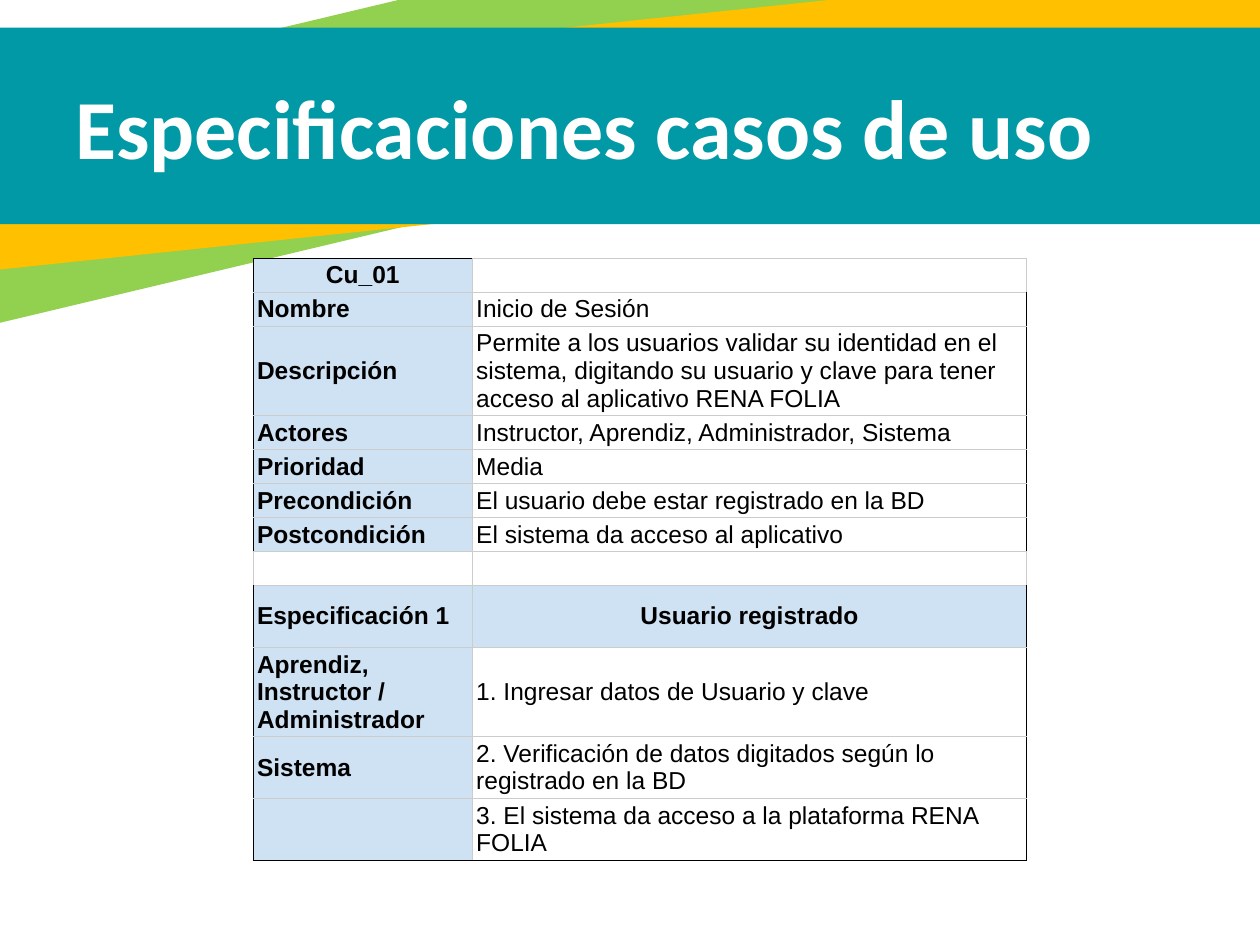
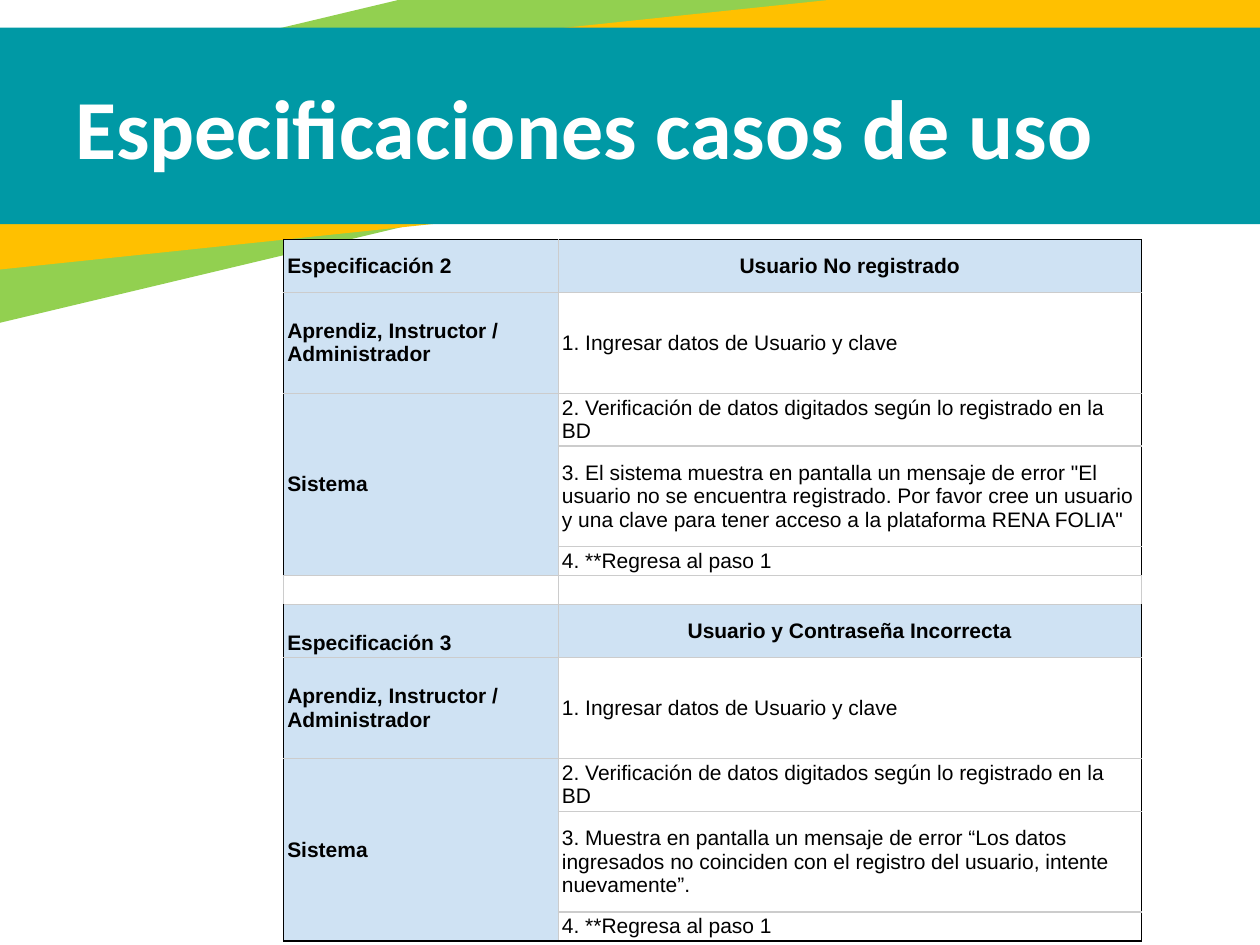
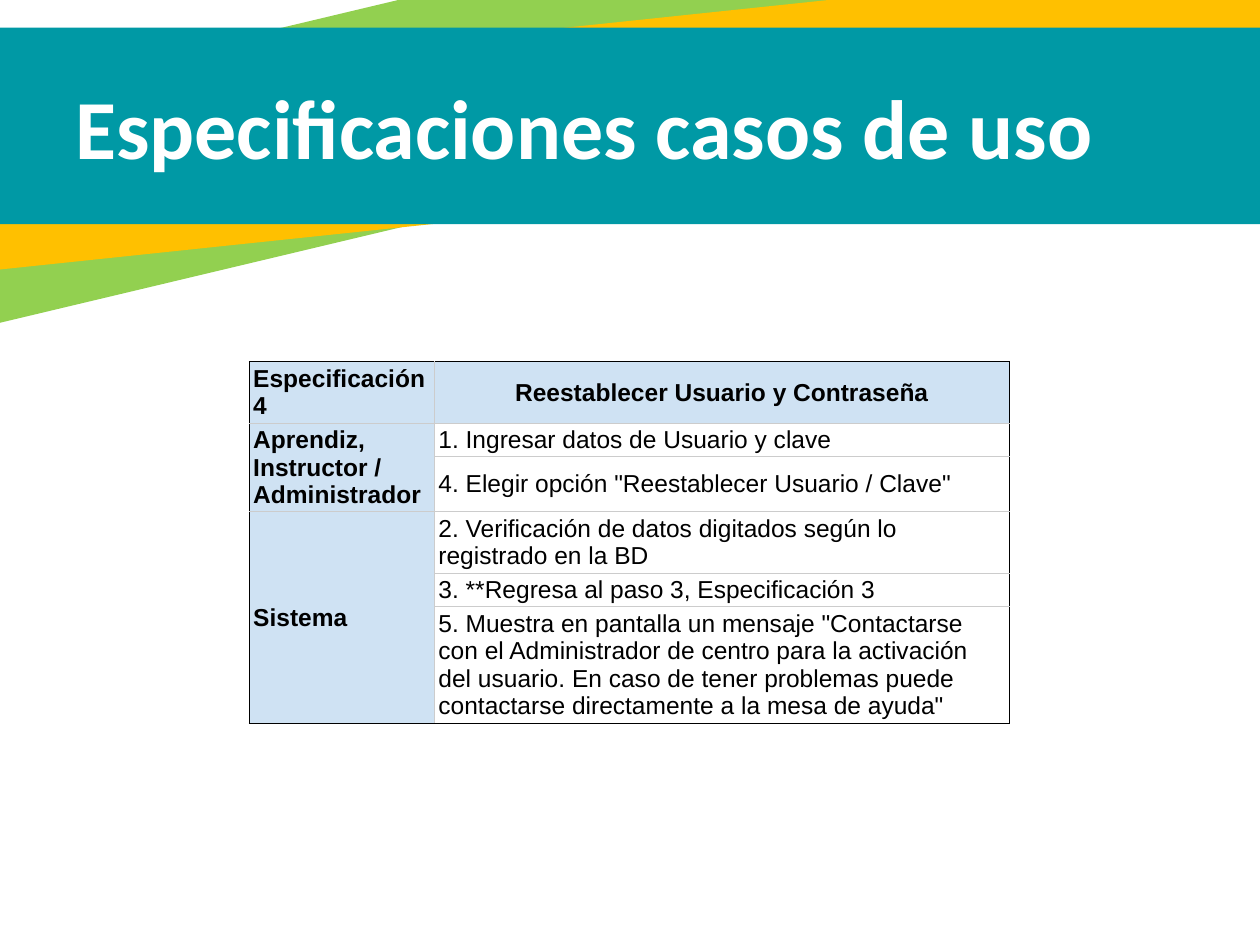
import pptx
import pptx.dml.color
import pptx.enum.shapes
import pptx.enum.text
import pptx.oxml.ns
import pptx.util
from lxml import etree

Inches = pptx.util.Inches
Pt = pptx.util.Pt
ALIGN = pptx.enum.text.PP_ALIGN
ANCHOR = pptx.enum.text.MSO_ANCHOR

GREEN, AMBER, TEAL = "92D050", "FFC000", "0099A5"
WHITE, BLACK = "FFFFFF", "000000"
LABEL_FILL, GRID = "CFE2F3", "CCCCCC"

TITLE = "Especificaciones casos de uso"
BANDS = [  # left, top, width, height, rotation, colour
    (-2.51, -0.18, 13.06, 1.76, 346.6, GREEN),
    (-1.1, 0.2, 11.63, 1.44, 354, AMBER),
    (-1.06, 0.22, 11.63, 1.56, 0, TEAL),
]

SPEC = "Especificación"
ACTORS = "Aprendiz, Instructor / Administrador"
ENTER_DATA = "1. Ingresar datos de Usuario y clave"
VERIFY_DATA = "2. Verificación de datos digitados según lo registrado en la BD"
BACK_TO_START = "4. **Regresa al paso 1"


def failed_login(number, case, message):
    """Rows of a specification that ends in an error message."""
    return [
        (0.42, f"{SPEC} {number}", case),
        (0.8, ACTORS, ENTER_DATA),
        (0.42, "Sistema", VERIFY_DATA),
        (0.8, None, message),
        (0.23, None, BACK_TO_START),
    ]


# Rows hold height, label and detail; a label of None continues the one above.
LOGIN_ROWS = [
    (0.27, "Cu_01", ""),
    (0.27, "Nombre", "Inicio de Sesión"),
    (0.71, "Descripción",
     "Permite a los usuarios validar su identidad en el sistema, digitando su "
     "usuario y clave para tener acceso al aplicativo RENA FOLIA"),
    (0.27, "Actores", "Instructor, Aprendiz, Administrador, Sistema"),
    (0.27, "Prioridad", "Media"),
    (0.27, "Precondición", "El usuario debe estar registrado en la BD"),
    (0.27, "Postcondición", "El sistema da acceso al aplicativo"),
    (0.27, "", ""),
    (0.49, f"{SPEC} 1", "Usuario registrado"),
    (0.71, ACTORS, ENTER_DATA),
    (0.49, "Sistema", VERIFY_DATA),
    (0.49, "", "3. El sistema da acceso a la plataforma RENA FOLIA"),
]
ERROR_ROWS = [
    *failed_login(
        2, "Usuario No registrado",
        '3. El sistema muestra en pantalla un mensaje de error "El usuario no se '
        "encuentra registrado. Por favor cree un usuario y una clave para tener "
        'acceso a la plataforma RENA FOLIA"'),
    (0.23, "", ""),
    *failed_login(
        3, "Usuario y Contraseña Incorrecta",
        "3. Muestra en pantalla un mensaje de error “Los datos ingresados no "
        "coinciden con el registro del usuario, intente nuevamente”."),
]
RESET_ROWS = [
    (0.49, f"{SPEC} 4", "Reestablecer Usuario y Contraseña"),
    (0.26, ACTORS, ENTER_DATA),
    (0.43, None, '4. Elegir opción "Reestablecer Usuario / Clave"'),
    (0.49, "Sistema", VERIFY_DATA),
    (0.26, None, "3. **Regresa al paso 3, Especificación 3"),
    (0.92, None,
     '5. Muestra en pantalla un mensaje "Contactarse con el Administrador de '
     "centro para la activación del usuario. En caso de tener problemas puede "
     'contactarse directamente a la mesa de ayuda"'),
]
CASES = [  # left, top, column widths, text size, rows
    (2.01, 2.05, (1.74, 4.4), 14, LOGIN_ROWS),
    (2.25, 1.9, (2.18, 4.63), 12, ERROR_ROWS),
    (1.98, 2.87, (1.47, 4.56), 14, RESET_ROWS),
]
CENTRED = {"Cu_01"}
BOTTOM_ANCHORED = {f"{SPEC} 3"}


def rgb(value):
    return pptx.dml.color.RGBColor.from_string(value)


def apply(target, values):
    for name, value in values.items():
        setattr(target, name, value)


def add_band(slide, left, top, width, height, rotation, colour):
    band = slide.shapes.add_shape(
        pptx.enum.shapes.MSO_SHAPE.RECTANGLE,
        Inches(left), Inches(top), Inches(width), Inches(height))
    band.rotation = rotation
    band.shadow.inherit = False
    band.fill.solid()
    band.fill.fore_color.rgb = rgb(colour)
    band.line.fill.background()


def write(paragraph, text, size, font, colour, bold):
    run = paragraph.add_run()
    run.text = text
    apply(run.font, {"size": Pt(size), "name": font, "bold": bold})
    run.font.color.rgb = rgb(colour)


def add_title(slide):
    frame = slide.shapes.add_textbox(
        Inches(0.5), Inches(0.49), Inches(9.5), Inches(1.02)).text_frame
    apply(frame, {"word_wrap": True, "vertical_anchor": ANCHOR.MIDDLE})
    write(frame.paragraphs[0], TITLE, 48, "Calibri", WHITE, True)


def set_borders(cell, colours):
    """Draw the left, right, top and bottom edges, in that order."""
    properties = cell._tc.get_or_add_tcPr()
    qn = pptx.oxml.ns.qn
    for side, colour in zip("LRTB", colours):
        edge = etree.SubElement(properties, qn(f"a:ln{side}"), w=str(Pt(0.75)))
        paint = etree.SubElement(edge, qn("a:solidFill"))
        etree.SubElement(paint, qn("a:srgbClr"), val=colour)


def fill_cell(cell, text, size, shaded, bold, centred):
    at_bottom = text in BOTTOM_ANCHORED
    apply(cell, {
        "margin_left": Inches(0.03), "margin_right": Inches(0.03),
        "margin_top": 0, "margin_bottom": Inches(0.02 if at_bottom else 0),
        "vertical_anchor": ANCHOR.BOTTOM if at_bottom else ANCHOR.MIDDLE,
    })
    if shaded:
        cell.fill.solid()
        cell.fill.fore_color.rgb = rgb(LABEL_FILL)
    else:
        cell.fill.background()
    paragraph = cell.text_frame.paragraphs[0]
    paragraph.alignment = ALIGN.CENTER if centred else ALIGN.LEFT
    if text:
        write(paragraph, text, size, "Arial", BLACK, bold)
    else:
        paragraph._p.get_or_add_endParaRPr().set("sz", str(size * 100))


def merge_labels(table, rows):
    start = 0
    for index, (_, label, _) in enumerate(rows):
        if label is not None:
            start = index
        elif index + 1 == len(rows) or rows[index + 1][1] is not None:
            table.cell(start, 0).merge(table.cell(index, 0))


def add_case_table(slide, left, top, widths, size, rows):
    table = slide.shapes.add_table(
        len(rows), len(widths), Inches(left), Inches(top),
        Inches(sum(widths)), Inches(sum(row[0] for row in rows))).table
    apply(table, {"first_row": False, "horz_banding": False})
    for column, width in zip(table.columns, widths):
        column.width = Inches(width)
    merge_labels(table, rows)

    for index, (height, label, detail) in enumerate(rows):
        table.rows[index].height = Inches(height)
        heading = bool(label) and label.startswith(SPEC)
        label_shaded = bool(label or detail)
        for column, (text, shaded, bold, centred) in enumerate([
                (label, label_shaded, True, label in CENTRED),
                (detail, heading, heading, heading)]):
            cell = table.cell(index, column)
            reaches_end = index + cell.span_height == len(rows)
            outer = (column == 0, column == 1, index == 0, reaches_end)
            in_use = bool(text) or shaded
            set_borders(cell, [BLACK if edge and in_use else GRID for edge in outer])
            fill_cell(cell, text, size, shaded, bold, centred)


def main():
    deck = pptx.Presentation()
    apply(deck, {"slide_width": Inches(10), "slide_height": Inches(7.5)})
    for case in CASES:
        slide = deck.slides.add_slide(deck.slide_layouts[6])
        for band in BANDS:
            add_band(slide, *band)
        add_title(slide)
        add_case_table(slide, *case)
    deck.save("out.pptx")


if __name__ == "__main__":
    main()
